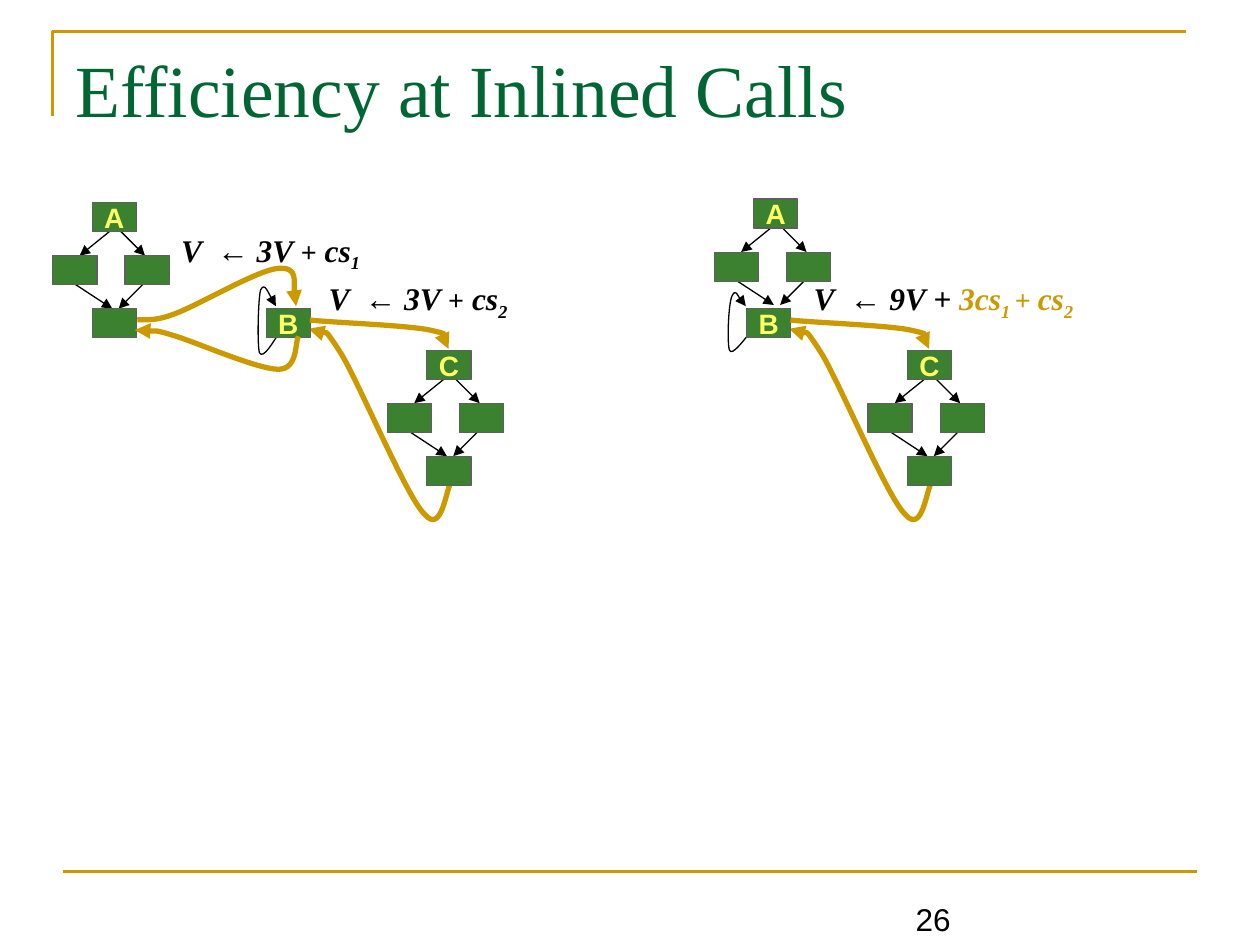
"""Build the slide on efficiency at inlined calls, with two call graphs."""
from dataclasses import dataclass
from typing import NamedTuple

from lxml.etree import SubElement
from pptx import Presentation
from pptx.dml.color import RGBColor
from pptx.enum.shapes import MSO_CONNECTOR as Connector, MSO_SHAPE as Preset
from pptx.enum.text import MSO_ANCHOR as Anchor, MSO_AUTO_SIZE as Fit, PP_ALIGN as Align
from pptx.oxml.ns import qn
from pptx.util import Pt

GOLD, BLACK, GREEN, GREY, YELLOW, TITLE = "CC9900", "000000", "3B812F", "5F5F5F", "FFFF66", "006633"
SERIF, SANS = "Times New Roman", "Arial"
BOX_WIDTH, BOX_HEIGHT = 25.2, 16.6
RIGHT_SHIFT = 274.6


class Point(NamedTuple):
    x: float
    y: float


@dataclass(frozen=True)
class Span:
    text: str
    size: float = 18
    font: str = SERIF
    color: str = BLACK
    bold: bool = False
    italic: bool = False
    baseline: int = 0


@dataclass(frozen=True)
class Node:
    x: float
    y: float
    label: str = ""


@dataclass(frozen=True)
class Curve:
    points: tuple
    color: str = GOLD
    width: float = 3

    def shifted(self, dx: float) -> "Curve":
        return Curve(tuple((x + dx, y) for x, y in self.points), self.color, self.width)


@dataclass(frozen=True)
class Label:
    x: float
    y: float
    width: float
    height: float
    spans: tuple
    anchor: Anchor = Anchor.TOP
    wrap: bool = False
    fit: Fit = Fit.SHAPE_TO_FIT_TEXT


def rgb(value: str) -> RGBColor:
    return RGBColor.from_string(value)


def style_line(shape, color: str, width: float, arrow: bool = False) -> None:
    shape.line.color.rgb = rgb(color)
    shape.line.width = Pt(width)
    if arrow:
        SubElement(shape.line._get_or_add_ln(), qn("a:tailEnd"), type="triangle")


def write(frame, spans: tuple, **layout) -> None:
    for name, value in layout.items():
        setattr(frame, name, value)
    para = frame.paragraphs[0]
    for item in spans:
        span = para.add_run()
        span.text = item.text
        formats = {"size": Pt(item.size), "name": item.font, "bold": item.bold, "italic": item.italic}
        for name, value in formats.items():
            setattr(span.font, name, value)
        span.font.color.rgb = rgb(item.color)
        if item.baseline:
            span._r.get_or_add_rPr().set("baseline", str(item.baseline * 1000))


def draw_line(page, start: Point, end: Point, color: str, width: float, arrow: bool) -> None:
    line = page.shapes.add_connector(Connector.STRAIGHT, *(Pt(v) for v in (*start, *end)))
    style_line(line, color, width, arrow)
    SubElement(line._element.spPr, qn("a:effectLst"))


def draw_outline(page, points: tuple, color: str, width: float, arrow: bool = False):
    first, *others = [(Pt(x), Pt(y)) for x, y in points]
    builder = page.shapes.build_freeform(*first)
    builder.add_line_segments(others, close=False)
    outline = builder.convert_to_shape()
    outline.shadow.inherit = False
    outline.fill.background()
    style_line(outline, color, width, arrow)
    return outline


def draw_curve(page, curve: Curve) -> None:
    outline = draw_outline(page, curve.points, curve.color, curve.width, arrow=True)
    drawn = next(outline._element.iter(qn("a:path")))
    steps = drawn.findall(qn("a:lnTo"))
    for index in range(0, len(steps), 3):
        bezier = SubElement(drawn, qn("a:cubicBezTo"))
        for step in steps[index:index + 3]:
            bezier.append(step[0])
            drawn.remove(step)


def draw_node(page, node: Node) -> None:
    box = page.shapes.add_shape(
        Preset.RECTANGLE, Pt(node.x), Pt(node.y), Pt(BOX_WIDTH), Pt(BOX_HEIGHT))
    box.shadow.inherit = False
    box.fill.solid()
    box.fill.fore_color.rgb = rgb(GREEN)
    style_line(box, GREY, 0.75)
    if node.label:
        span = Span(node.label, 16, SANS, YELLOW, bold=True)
        write(box.text_frame, (span,), word_wrap=False, vertical_anchor=Anchor.MIDDLE)
        box.text_frame.paragraphs[0].alignment = Align.CENTER


def draw_diamond(page, top: Node, has_bottom: bool = True) -> None:
    arrows = (((15.1, 15.1), (30.2, 30.2)), ((11.5, 15.1), (-7.2, 30.2)),
              ((-11.5, 45.4), (11.5, 60.5)), ((30.2, 45.4), (15.1, 60.5)))
    for ends in arrows:
        start, end = (Point(top.x + dx, top.y + dy) for dx, dy in ends)
        draw_line(page, start, end, BLACK, 0.75, arrow=True)
    offsets = [(-22.5, 30.3), (18.8, 30.3)] + [(0, 60.5)] * has_bottom
    draw_node(page, top)
    for dx, dy in offsets:
        draw_node(page, Node(top.x + dx, top.y + dy))


def draw_label(page, label: Label) -> None:
    box = page.shapes.add_textbox(
        *(Pt(v) for v in (label.x, label.y, label.width, label.height)))
    write(box.text_frame, label.spans, word_wrap=label.wrap,
          vertical_anchor=label.anchor, auto_size=label.fit)


def math(text: str, color: str = BLACK, **formats) -> Span:
    return Span(text, color=color, bold=True, **{"italic": True, **formats})


def update(index: str) -> tuple:
    return (math("V  ← 3V "), math("+", size=16, italic=False),
            math(" cs"), math(index, baseline=-25))


CALL = Curve(((177.1, 182.9), (188.6, 184.3), (231.8, 185.8), (245.5, 188.6),
              (258.5, 191.5), (254.2, 197.3), (256.3, 199.4)))
RETURN = Curve(((257.8, 275.8), (254.9, 278.6), (252.7, 306), (242.6, 293.8),
                (232.6, 284.4), (205.9, 220.3), (195.1, 202.3),
                (183.6, 184.3), (180.7, 190.8), (176.4, 187.9)))
LEFT_LOOP = Curve(((158.4, 192.2), (157, 193.7), (150.5, 205.9), (148.3, 201.6),
                   (146.9, 196.6), (147.6, 169.9), (149, 165.6),
                   (151.2, 161.3), (156.2, 172.8), (157.7, 175)), BLACK, 0.75)
RIGHT_LOOP = Curve(((427, 192.2), (425.5, 193.7), (418.3, 203.8), (416.9, 200.2),
                    (415.4, 196.6), (416.2, 173.5), (418.3, 169.2),
                    (420.5, 164.9), (424.1, 173.5), (426.2, 175)), BLACK, 0.75)
CALL_B = Curve(((78.5, 182.9), (82.1, 182.2), (87.1, 184.3), (100.1, 179.3),
                (113.8, 174.2), (147.6, 154.1), (159.1, 153.4),
                (170.6, 152.6), (167, 170.6), (169.2, 175)))
RETURN_A = Curve(((170.6, 192.2), (168.5, 195.1), (170.6, 211), (159.1, 211),
                  (147.6, 211), (114.5, 196.6), (100.8, 192.2),
                  (87.1, 187.9), (82.1, 189.4), (77, 188.6)))
INLINED = (math("V  ← 9V + "), math("3cs", GOLD), math("1 ", GOLD, baseline=-25),
           math("+ ", GOLD, size=16, italic=False), math("cs", GOLD),
           math("2", GOLD, baseline=-25))
LABELS = (
    Label(96.5, 128.2, 117.4, 31.7, update("1")),
    Label(180.7, 156.2, 117.4, 31.7, update("2")),
    Label(457.9, 156.2, 164.9, 31.7, INLINED),
    Label(36, 21.6, 648, 90, (Span("Efficiency at Inlined Calls", 42, SERIF, TITLE),),
          wrap=True, fit=Fit.NONE),
    Label(516.2, 503.3, 167.8, 36, (Span("26", 18, SANS),), Anchor.BOTTOM, True, Fit.NONE),
)


def draw_call_chain(page, shift: float, loop: Curve) -> None:
    draw_curve(page, RETURN.shifted(shift))
    draw_curve(page, loop)
    draw_diamond(page, Node(243.9 + shift, 200.2, "C"))
    draw_node(page, Node(152.1 + shift, 176.4, "B"))
    draw_curve(page, CALL.shifted(shift))


def main() -> None:
    deck = Presentation()
    deck.slide_width, deck.slide_height = Pt(720), Pt(540)
    page = deck.slides.add_slide(deck.slide_layouts[6])
    draw_outline(page, ((30, 66.2), (30, 18), (678, 18)), GOLD, 1.5)
    draw_line(page, Point(36, 498), Point(684, 498), GOLD, 1.5, arrow=False)
    draw_diamond(page, Node(430.7, 113.8, "A"), has_bottom=False)
    draw_call_chain(page, RIGHT_SHIFT, RIGHT_LOOP)
    draw_diamond(page, Node(52.7, 115.9, "A"))
    draw_call_chain(page, 0, LEFT_LOOP)
    for curve in (CALL_B, RETURN_A):
        draw_curve(page, curve)
    for label in LABELS:
        draw_label(page, label)
    deck.save("out.pptx")


if __name__ == "__main__":
    main()
